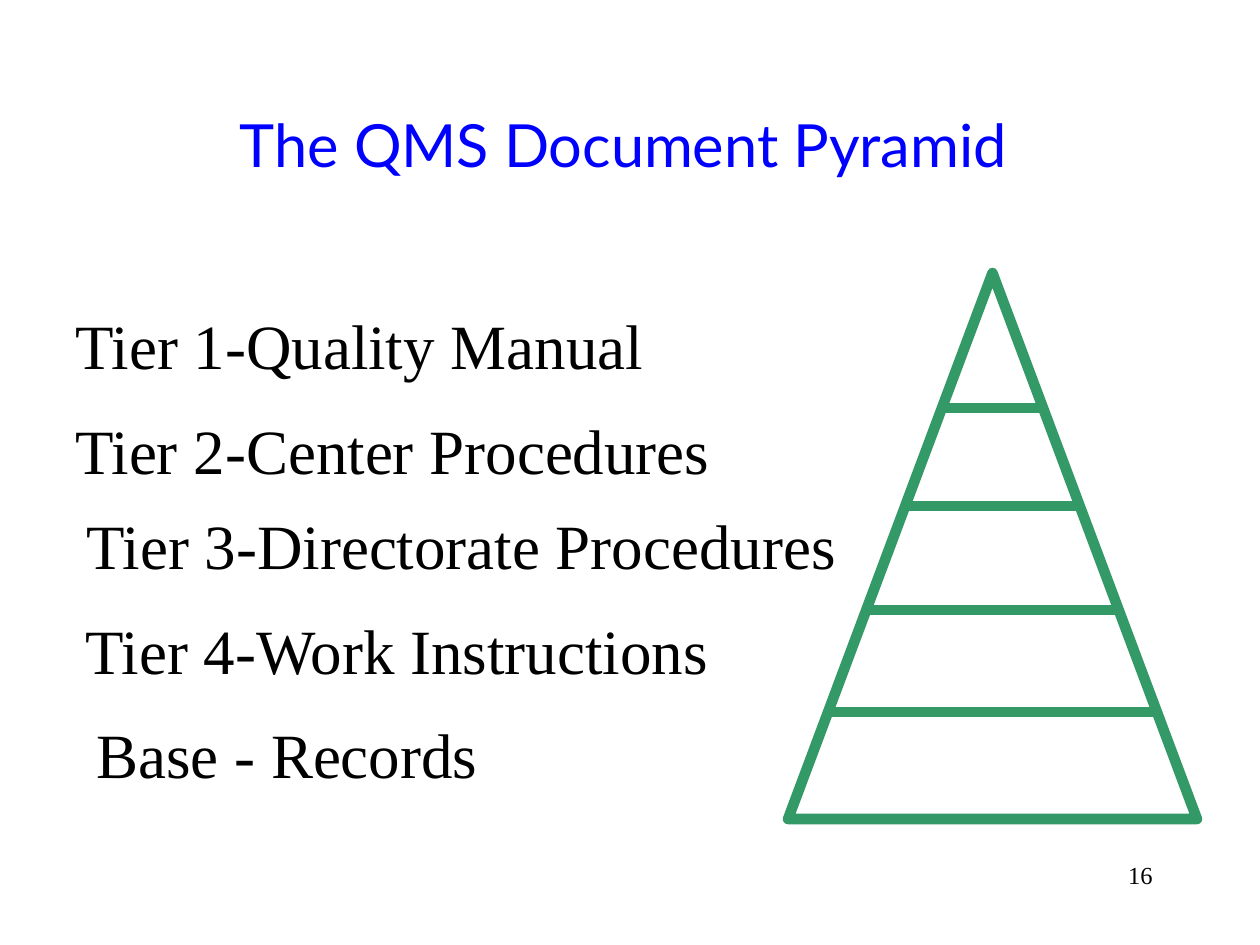
from pptx import Presentation
from pptx import util as u
from pptx.dml.color import RGBColor
from pptx.enum import shapes, text
from pptx.oxml.ns import qn
from lxml import etree

SCALE = 914400 / 126
COLORS = {"title": "0000FF", "body": "000000", "pyramid": "339966"}
SERIF = "Times New Roman"
TIERS = [
    ("Tier 1-Quality Manual", 63, 294, 937, True),
    ("Tier 2-Center Procedures", 63, 399, 822, True),
    ("Tier 3-Directorate Procedures", 74, 494, 777, False),
    ("Tier 4-Work Instructions", 73, 599, 736, True),
    ("Base - Records", 84, 703, 658, True),
]
PYRAMID = (788, 273, 409, 546)
RUNGS = [408, 506, 610, 712]


def px(n):
    return u.Emu(round(n * SCALE))


def rgb(name):
    return RGBColor.from_string(COLORS[name])


def add_text(slide, words, box, size, font, color, align=text.PP_ALIGN.LEFT,
             anchor=text.MSO_ANCHOR.TOP, wrap=True, insets=(6, 6)):
    """Add a one-line text box; insets are the top and bottom margins."""
    tf = slide.shapes.add_textbox(*map(px, box)).text_frame
    tf.word_wrap = wrap
    tf.vertical_anchor = anchor
    tf.margin_top, tf.margin_bottom = map(px, insets)
    p = tf.paragraphs[0]
    p.alignment = align
    r = p.add_run()
    r.text = words
    r.font.size = u.Pt(size)
    r.font.name = font
    r.font.color.rgb = rgb(color)


def style_line(sp):
    sp.line.color.rgb = rgb("pyramid")
    sp.line.width = u.Pt(6)


def add_pyramid(slide):
    """Draw a triangle with rungs that reach its sloping sides."""
    left, top, width, height = PYRAMID
    group = slide.shapes.add_group_shape()
    sp = group.shapes.add_shape(shapes.MSO_SHAPE.ISOSCELES_TRIANGLE,
                                *map(px, PYRAMID))
    sp.shadow.inherit = False
    sp.fill.background()
    style_line(sp)
    middle = left + width / 2
    for y in RUNGS:
        half = (y - top) / height * width / 2
        rung = group.shapes.add_connector(
            shapes.MSO_CONNECTOR.STRAIGHT,
            px(middle - half), px(y), px(middle + half), px(y))
        style_line(rung)
        etree.SubElement(rung._element.spPr, qn("a:effectLst"))


def main():
    prs = Presentation()
    prs.slide_width, prs.slide_height = px(1260), px(945)
    slide = prs.slides.add_slide(prs.slide_layouts[6])
    add_text(slide, "The QMS Document Pyramid", (62, 40, 1123, 145), 34,
             "Lato", "title", text.PP_ALIGN.CENTER, text.MSO_ANCHOR.BOTTOM)
    add_pyramid(slide)
    for words, left, top, width, wrap in TIERS:
        add_text(slide, words, (left, top, width, 88), 36, SERIF, "body",
                 wrap=wrap, insets=(13, 0))
    add_text(slide, "16", (903, 851, 262, 63), 14, SERIF, "body",
             text.PP_ALIGN.RIGHT, insets=(9, 6))
    prs.save("out.pptx")


if __name__ == "__main__":
    main()
